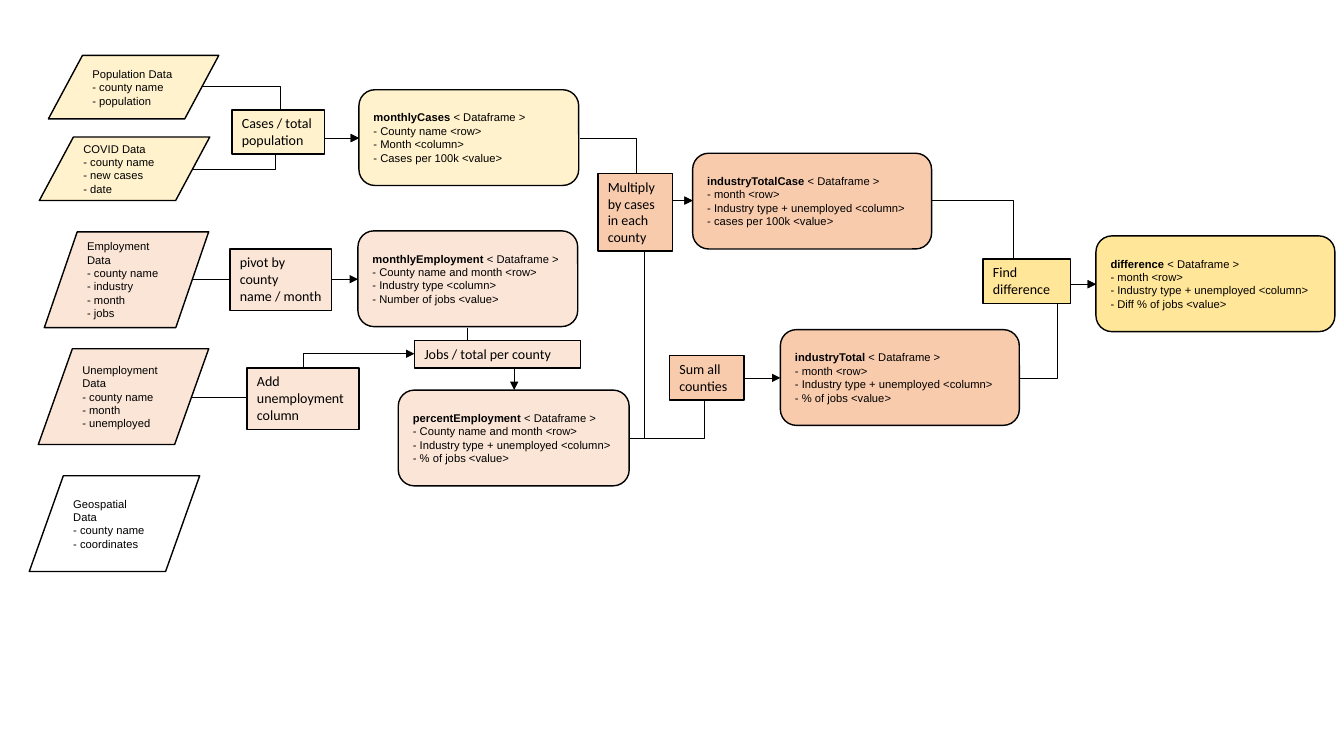
from dataclasses import dataclass

from lxml import etree
from pptx import Presentation
from pptx.dml.color import RGBColor
from pptx.enum import shapes, text
from pptx.oxml import ns
from pptx.util import Inches, Pt


@dataclass(frozen=True)
class Theme:
    cases: str = "FFF2CC"
    jobs: str = "FBE5D6"
    industry: str = "F8CBAD"
    result: str = "FFE699"
    plain: str = "FFFFFF"
    ink: str = "000000"
    data_font: str = "Arial"
    step_font: str = "Calibri"
    data_size: float = 8
    step_size: float = 10
    outline: float = 1
    arrow: float = 0.5


T = Theme()
BOX_H = 0.95
LOW_H = 0.63
WIDE = 2.37

# Data sources: left, top, width, height, fill, paragraphs
SOURCES = [
    (0.48, 0.55, 1.69, LOW_H, T.cases,
     ["Population Data\n- county name", "- population"]),
    (0.39, 1.36, 1.69, LOW_H, T.cases,
     ["COVID Data\n- county name", "- new cases", "- date"]),
    (0.44, 2.3, 1.63, BOX_H, T.jobs,
     ["Employment Data\n- county name", "- industry", "- month", "- jobs"]),
    (0.38, 3.46, 1.69, BOX_H, T.jobs,
     ["Unemployment Data\n- county name", "- month", "- unemployed"]),
    (0.29, 4.72, 1.69, BOX_H, T.plain,
     ["Geospatial", "Data\n- county name", "- coordinates"]),
]

# Dataframes: left, top, width, fill, name, rows, columns, values
FRAMES = [
    (3.56, 0.89, 2.18, T.cases, "monthlyCases",
     "County name", "Month", "Cases per 100k"),
    (3.55, 2.29, 2.18, T.jobs, "monthlyEmployment",
     "County name and month", "Industry type", "Number of jobs"),
    (3.95, 3.87, 2.29, T.jobs, "percentEmployment",
     "County name and month", "Industry type + unemployed", "% of jobs"),
    (6.87, 1.52, WIDE, T.industry, "industryTotalCase",
     "month", "Industry type + unemployed", "cases per 100k"),
    (7.74, 3.27, WIDE, T.industry, "industryTotal",
     "month", "Industry type + unemployed", "% of jobs"),
    (10.87, 2.34, WIDE, T.result, "difference",
     "month", "Industry type + unemployed", "Diff % of jobs"),
]

# Arrows: start x, start y, end x, end y, position of the bend
ARROWS = [
    (2, 0.86, 3.56, 1.37, 0.5),
    (1.91, 1.68, 3.56, 1.37, 0.5),
    (1.91, 2.77, 3.55, 2.77, 0.5),
    (1.9, 3.94, 4.11, 3.51, 0.5),
    (5.75, 1.37, 6.87, 1.99, 0.5),
    (6.24, 4.35, 6.87, 1.99, 0.24),
    (6.24, 4.35, 7.74, 3.75, 0.5),
    (9.24, 1.99, 10.87, 2.82, 0.5),
    (10.11, 3.75, 10.87, 2.82, 0.5),
]

# Processing steps: left, top, width, height, fill, label
STEPS = [
    (2.3, 1.09, 0.92, 0.44, T.cases, "Cases / total population"),
    (2.28, 2.47, 1.01, 0.61, T.jobs, "pivot by county name / month"),
    (2.45, 3.65, 1.11, 0.61, T.jobs, "Add unemployment column"),
    (4.11, 3.38, 1.65, 0.27, T.jobs, "Jobs / total per county"),
    (5.93, 1.72, 0.74, 0.77, T.industry, "Multiply by cases in each county"),
    (6.64, 3.53, 0.74, 0.44, T.industry, "Sum all counties"),
    (9.75, 2.57, 0.87, 0.44, T.result, "Find difference"),
]


def rgb(value):
    return RGBColor.from_string(value)


def add_box(slide, kind, x, y, w, h, fill, anchor):
    sp = slide.shapes.add_shape(kind, Inches(x), Inches(y), Inches(w), Inches(h))
    sp.shadow.inherit = False
    sp.fill.solid()
    sp.fill.fore_color.rgb = rgb(fill)
    sp.line.color.rgb = rgb(T.ink)
    sp.line.width = Pt(T.outline)
    sp.text_frame.word_wrap = True
    sp.text_frame.vertical_anchor = anchor
    return sp.text_frame


def write(tf, lines, font, size):
    for i, line in enumerate(lines):
        p = tf.paragraphs[0] if i == 0 else tf.add_paragraph()
        p.text = line
        p.alignment = text.PP_ALIGN.LEFT
        p.font.name = font
        p.font.size = Pt(size)
        p.font.color.rgb = rgb(T.ink)


def add_source(slide, x, y, w, h, fill, lines):
    tf = add_box(slide, shapes.MSO_SHAPE.FLOWCHART_DATA, x, y, w, h, fill,
                 text.MSO_ANCHOR.MIDDLE)
    write(tf, lines, T.data_font, T.data_size)


def add_frame(slide, x, y, w, fill, name, rows, columns, values):
    tf = add_box(slide, shapes.MSO_SHAPE.FLOWCHART_ALTERNATE_PROCESS,
                 x, y, w, BOX_H, fill, text.MSO_ANCHOR.MIDDLE)
    write(tf, [name, f"- {rows} <row>", f"- {columns} <column>",
               f"- {values} <value>"], T.data_font, T.data_size)
    p = tf.paragraphs[0]
    p.runs[0].font.bold = True
    r = p.add_run()
    r.text = " < Dataframe >"


def add_step(slide, x, y, w, h, fill, label):
    tf = add_box(slide, shapes.MSO_SHAPE.RECTANGLE, x, y, w, h, fill,
                 text.MSO_ANCHOR.TOP)
    write(tf, [label], T.step_font, T.step_size)


def add_arrow(slide, x1, y1, x2, y2, bend=0.5):
    kind = shapes.MSO_CONNECTOR.STRAIGHT if y1 == y2 else shapes.MSO_CONNECTOR.ELBOW
    c = slide.shapes.add_connector(kind, Inches(x1), Inches(y1),
                                   Inches(x2), Inches(y2))
    c.line.color.rgb = rgb(T.ink)
    c.line.width = Pt(T.arrow)
    sp_pr = c._element.spPr
    etree.SubElement(c.line._get_or_add_ln(), ns.qn("a:tailEnd"), type="triangle")
    etree.SubElement(sp_pr, ns.qn("a:effectLst"))
    if bend != 0.5:
        guides = sp_pr.find(ns.qn("a:prstGeom")).find(ns.qn("a:avLst"))
        etree.SubElement(guides, ns.qn("a:gd"), name="adj1",
                         fmla=f"val {round(bend * 100000)}")
    return c


def add_down_arrow(slide, x1, y1, x2, y2):
    """Elbow that leaves and arrives vertically: a mirrored one, turned by 270 degrees."""
    cx, cy = (x1 + x2) / 2, (y1 + y2) / 2
    half_w, half_h = (y2 - y1) / 2, (x2 - x1) / 2
    c = add_arrow(slide, cx + half_w, cy - half_h, cx - half_w, cy + half_h)
    c._element.spPr.find(ns.qn("a:xfrm")).set("rot", str(270 * 60000))


def main():
    prs = Presentation()
    prs.slide_width, prs.slide_height = Inches(13.33), Inches(7.5)
    slide = prs.slides.add_slide(prs.slide_layouts[6])

    # Data boxes
    for source in SOURCES:
        add_source(slide, *source)
    for frame in FRAMES:
        add_frame(slide, *frame)

    # Arrows run behind the steps
    for arrow in ARROWS:
        add_arrow(slide, *arrow)
    add_down_arrow(slide, 4.64, 3.25, 5.1, 3.87)

    # Steps
    for step in STEPS:
        add_step(slide, *step)

    prs.save("out.pptx")


if __name__ == "__main__":
    main()
